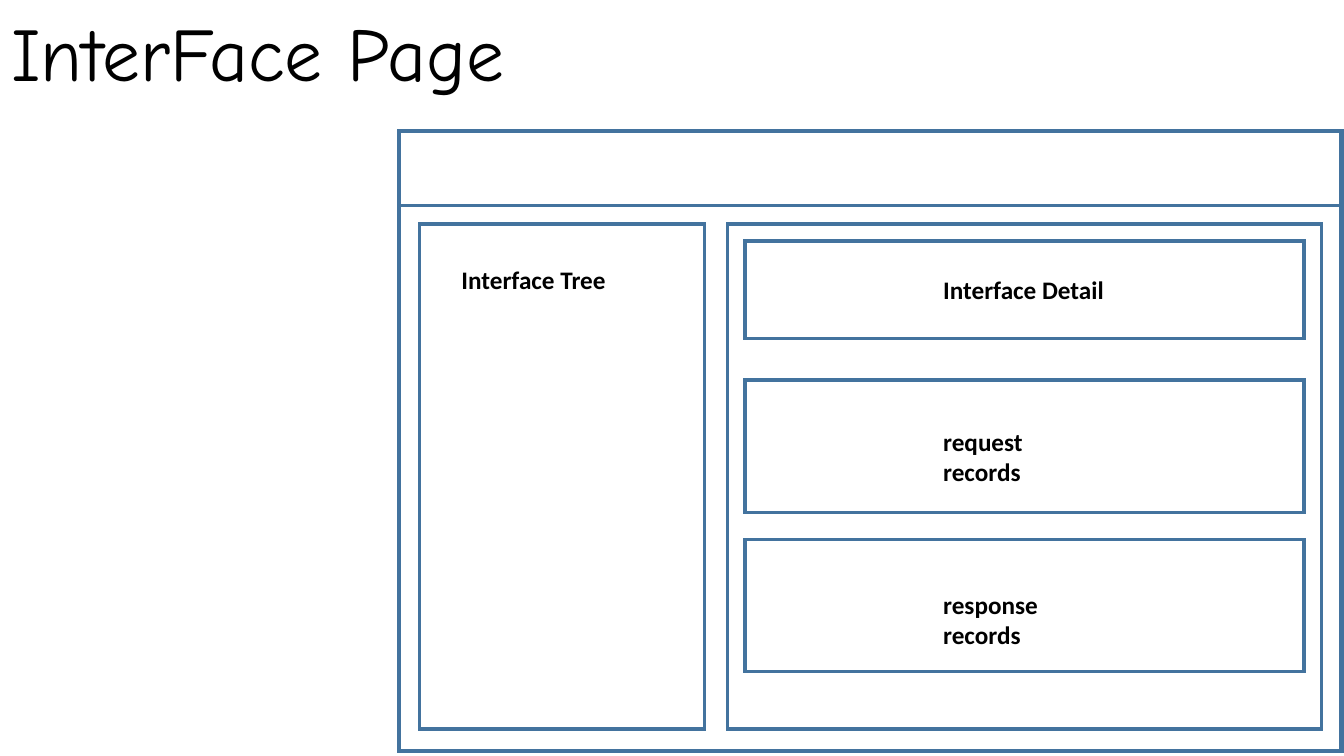
from dataclasses import dataclass

from lxml.etree import SubElement
from pptx import Presentation
from pptx.dml.color import RGBColor
from pptx.enum.shapes import MSO_SHAPE
from pptx.enum.text import MSO_ANCHOR, PP_ALIGN
from pptx.oxml.ns import qn
from pptx.util import Cm, Pt


@dataclass(frozen=True)
class Theme:
    """Colours, fonts and sizes used on the slide."""
    ink: RGBColor = RGBColor(0x00, 0x00, 0x00)
    paper: RGBColor = RGBColor(0xFF, 0xFF, 0xFF)
    outline: RGBColor = RGBColor(0x43, 0x73, 0x9E)
    title_font: str = "Comic Neue"
    label_font: str = "Calibri"
    title_size: float = 54
    label_size: float = 18
    page_line: float = 3
    panel_line: float = 2.5


THEME = Theme()


def write(sp, text, font, size, bold):
    """Put one unwrapped, left-aligned line of text into a shape."""
    tf = sp.text_frame
    tf.text = text
    tf.word_wrap = False
    p = tf.paragraphs[0]
    p.alignment = PP_ALIGN.LEFT
    p.font.name, p.font.size, p.font.bold = font, Pt(size), bold
    p.font.color.rgb = THEME.ink


def add_frame(slide, x, y, w, h, line=THEME.panel_line, fill=None):
    """Draw an outlined rectangle with sharp corners."""
    sp = slide.shapes.add_shape(MSO_SHAPE.RECTANGLE, Cm(x), Cm(y), Cm(w), Cm(h))
    sp.shadow.inherit = False
    if fill is None:
        sp.fill.background()
    else:
        sp.fill.solid()
        sp.fill.fore_color.rgb = fill
    sp.line.color.rgb = THEME.outline
    sp.line.width = Pt(line)
    SubElement(sp.line._get_or_add_ln(), qn("a:miter"), lim="800000")


def add_label(slide, text, x, y, w):
    """Add a bold panel label."""
    sp = slide.shapes.add_textbox(Cm(x), Cm(y), Cm(w), Cm(1.02))
    write(sp, text, THEME.label_font, THEME.label_size, True)


def add_title(slide, text, x, y, w, h):
    """Place the slide title in its placeholder."""
    sp = slide.shapes.title
    sp.left, sp.top, sp.width, sp.height = Cm(x), Cm(y), Cm(w), Cm(h)
    write(sp, text, THEME.title_font, THEME.title_size, False)
    sp.text_frame.vertical_anchor = MSO_ANCHOR.TOP


def add_tree(slide, x, y, w, h):
    """Draw the interface tree panel."""
    add_frame(slide, x, y, w, h)
    add_label(slide, "Interface Tree", x + 0.81, y + 0.89, 4.14)


def add_details(slide, x, y, w, h):
    """Draw the right-hand panel with its stacked cards."""
    add_frame(slide, x, y, w, h)
    inset = 0.43
    cards = [  # text, card top, card height, label top in card, label width
        ("Interface Detail", 0.43, 2.46, 0.71, 4.55),
        ("request records", 3.94, 3.33, 1.04, 4.6),
        ("response records", 7.95, 3.33, 1.14, 4.98),
    ]
    for text, top, height, label_top, label_w in cards:
        add_frame(slide, x + inset, y + top, w - 2 * inset, height)
        add_label(slide, text, x + inset + 4.75, y + top + label_top, label_w)


def add_page(slide, x, y, w, h):
    """Draw the page wireframe: header bar, tree and details."""
    add_frame(slide, x, y, w, h, THEME.page_line, THEME.paper)
    add_frame(slide, x, y, w, 1.88)
    margin, top, tree_w, gap = 0.51, 2.34, 7.19, 0.58
    body_h = 12.73
    add_tree(slide, x + margin, y + top, tree_w, body_h)
    left = margin + tree_w + gap
    add_details(slide, x + left, y + top, w - left - margin, body_h)


def main():
    """Build and save the presentation."""
    prs = Presentation()
    prs.slide_width, prs.slide_height = Cm(33.87), Cm(19.05)
    slide = prs.slides.add_slide(prs.slide_layouts[5])
    slide.background.fill.solid()
    slide.background.fill.fore_color.rgb = THEME.paper
    add_title(slide, "InterFace Page", 0.03, 0.03, 14.15, 2.57)
    add_page(slide, 10.06, 3.3, 23.75, 15.62)
    prs.save("out.pptx")


main()
